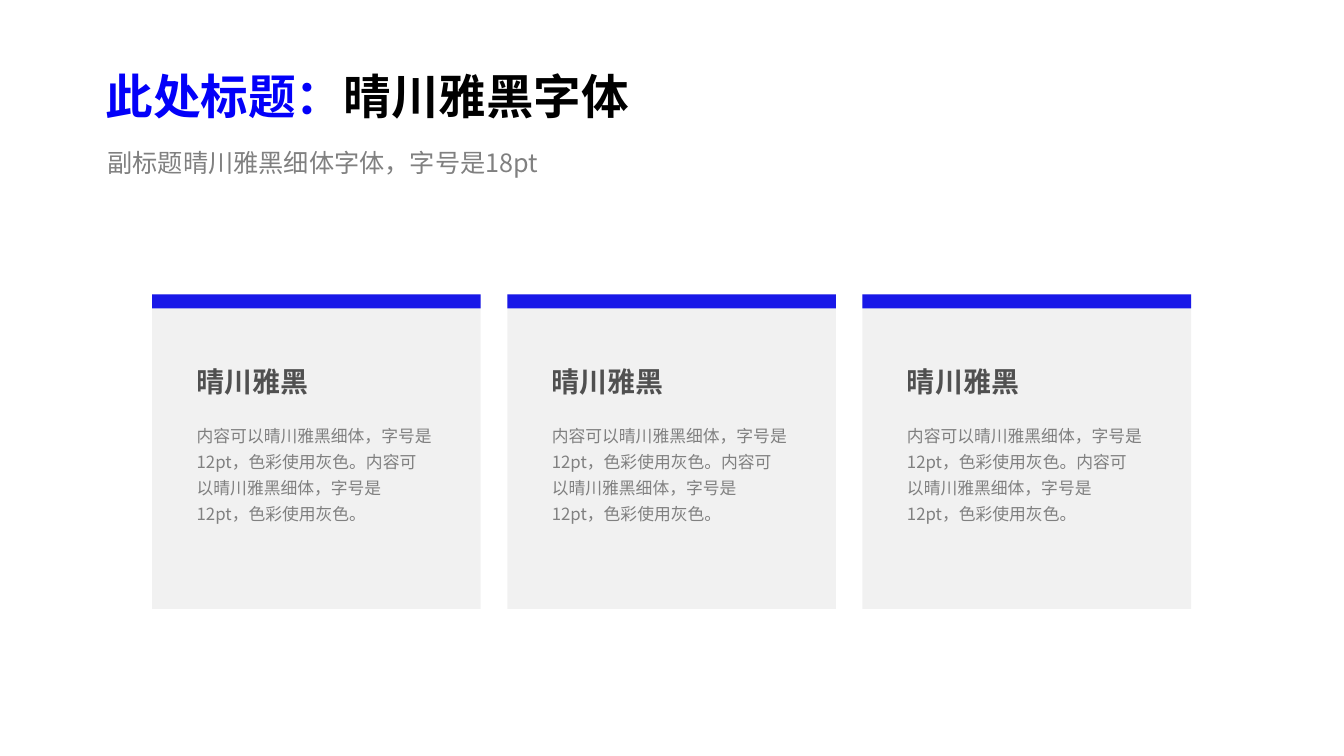
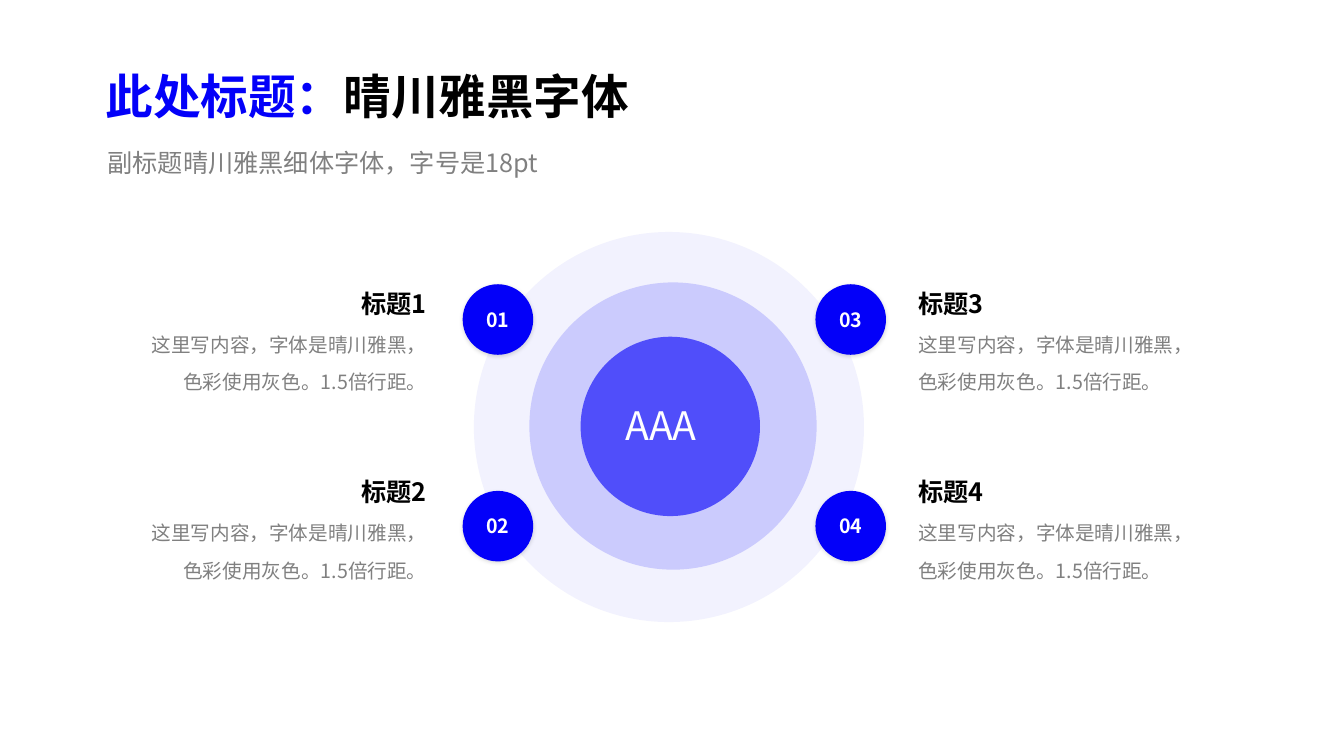
"""Build two slides that share one title style: three cards and a ring chart."""
from lxml.etree import SubElement
from pptx import Presentation
from pptx.dml.color import RGBColor
from pptx.enum.shapes import MSO_SHAPE
from pptx.enum.text import MSO_ANCHOR, MSO_AUTO_SIZE, PP_ALIGN
from pptx.oxml.ns import qn
from pptx.util import Emu, Pt

COLS, ROWS = 40, 22.5
WIDE, HIGH = 12192000, 6858000
FACE = "Noto Sans CJK SC"
BLUE, BAR, GRAY, PALE, DARK = "0300F9", "1918E8", "808080", "D9D9D9", "0D0D0D"
BLACK, WHITE = "000000", "FFFFFF"
SLIM = (0, 0.12, 0.72, 0.12)
NONE = (0, 0, 0, 0)
EVEN = (0.3, 0.15, 0.3, 0.15)


def cell(x, y, w, h):
    return [Emu(round(n * unit)) for n, unit in
            zip((x, y, w, h), (WIDE / COLS, HIGH / ROWS) * 2)]


def paint(fill, node, tint, share=100):
    fill.solid()
    fill.fore_color.rgb = RGBColor.from_string(tint)
    if share < 100:
        hue = node.xpath(".//a:srgbClr")[0]
        SubElement(hue, qn("a:alpha"), val=str(share * 1000))


class Deck:
    def __init__(self):
        self.prs = Presentation()
        self.prs.slide_width, self.prs.slide_height = WIDE, HIGH

    def page(self, lead, rest, note):
        self.slide = self.prs.slides.add_slide(self.prs.slide_layouts[1])
        head, body = self.slide.placeholders
        self.place(head, (2.85, 1, 28.77, 2.7))
        self.frame(head)
        para = head.text_frame.paragraphs[0]
        para.text = lead
        para.add_run().text = rest
        self.style(para, 34, BLUE, bold=True, lead=1.5)
        paint(para.runs[1].font.fill, para.runs[1]._r, BLACK)
        self.place(body, (3.2, 4, 17.46, 1.32))
        self.frame(body, SLIM)
        para = body.text_frame.paragraphs[0]
        para.text = note
        props = para._p.get_or_add_pPr()
        props.set("marL", "0")
        props.set("indent", "0")
        SubElement(props, qn("a:buNone"))
        self.style(para, 18, GRAY, lead=1.3)

    def place(self, shape, area):
        shape.left, shape.top, shape.width, shape.height = cell(*area)

    def frame(self, shape, pads=EVEN, anchor=MSO_ANCHOR.TOP):
        frame = shape.text_frame
        frame.word_wrap = True
        frame.auto_size = MSO_AUTO_SIZE.NONE
        frame.vertical_anchor = anchor
        (frame.margin_left, frame.margin_top,
         frame.margin_right, frame.margin_bottom) = cell(*pads)
        return frame

    def style(self, para, size, tint, bold=False, lead=1, gap=0,
              side=PP_ALIGN.LEFT, share=100):
        para.alignment = side
        para.line_spacing = lead
        para.space_before = Pt(gap)
        for run in para.runs:
            font = run.font
            font.size, font.bold, font.name = Pt(size), bold, FACE
            paint(font.fill, run._r, tint, share)
            SubElement(run._r.get_or_add_rPr(), qn("a:ea"), typeface=FACE)

    def text(self, area, words, size, tint, pads=EVEN, **look):
        box = self.slide.shapes.add_textbox(*cell(*area))
        frame = self.frame(box, pads)
        frame.text = words
        self.style(frame.paragraphs[0], size, tint, **look)
        return frame

    def shape(self, kind, area, tint, share=100):
        item = self.slide.shapes.add_shape(kind, *cell(*area))
        item.shadow.inherit = False
        paint(item.fill, item._element, tint, share)
        item.line.fill.background()
        return item

    def card(self, x, name, words):
        top, wide = 8.76, 9.78
        self.shape(MSO_SHAPE.RECTANGLE, (x, top, wide, 9.36), PALE, 35)
        self.shape(MSO_SHAPE.RECTANGLE, (x, top, wide, 0.42), BAR)
        self.text((x + 1.03, top + 1.65, 7.62, 1.5), name, 20, DARK,
                  bold=True, lead=1.3, share=70)
        self.text((x + 1.03, top + 3.57, 7.62, 4.59), words, 12, GRAY, lead=1.3)

    def ring(self, x, y, size, share):
        area = (x - size / 2, y - size / 2, size, size)
        self.shape(MSO_SHAPE.OVAL, area, BLUE, share)

    def badge(self, x, y, mark):
        item = self.shape(MSO_SHAPE.OVAL, (x, y, 2.1, 2.1), BLUE)
        glow = SubElement(item._element.spPr.find(qn("a:effectLst")),
                          qn("a:outerShdw"), blurRad=str(Pt(3)),
                          dist=str(Pt(1)), dir="5400000", rotWithShape="0")
        hue = SubElement(glow, qn("a:srgbClr"), val=BLACK)
        SubElement(hue, qn("a:alpha"), val="15000")
        frame = self.frame(item, NONE, MSO_ANCHOR.MIDDLE)
        frame.text = mark
        self.style(frame.paragraphs[0], 14, WHITE, bold=True,
                   side=PP_ALIGN.CENTER)

    def item(self, x, y, name, lines, side):
        frame = self.text((x, y, 9.42, 3.39), name, 18, BLACK, SLIM,
                          bold=True, side=side)
        for line in lines:
            para = frame.add_paragraph()
            para.text = line
            self.style(para, 14, GRAY, gap=10, side=side)


def main():
    deck = Deck()
    head = ("此处标题：", "晴川雅黑字体", "副标题晴川雅黑细体字体，字号是18pt")

    deck.page(*head)
    words = "内容可以晴川雅黑细体，字号是12pt，色彩使用灰色。" * 2
    for col in range(3):
        deck.card(4.53 + 10.57 * col, "晴川雅黑", words)

    deck.page(*head)
    for ring in ((19.91, 12.71, 11.61, 5), (20.03, 12.68, 8.55, 16),
                 (19.95, 12.69, 5.34, 61)):
        deck.ring(*ring)
    deck.text((18.63, 11.4, 4.08, 1.89), "AAA", 28, WHITE, SLIM, lead=1.3)
    lines = ("这里写内容，字体是晴川雅黑，", "色彩使用灰色。1.5倍行距。")
    sides = ((13.77, 4, PP_ALIGN.RIGHT), (24.27, 27.33, PP_ALIGN.LEFT))
    for col, (dot, left, side) in enumerate(sides):
        for row in range(2):
            rank = col * 2 + row + 1
            deck.badge(dot, 8.46 + 6.15 * row, f"{rank:02}")
            deck.item(left, 8.46 + 5.61 * row, f"标题{rank}", lines, side)

    deck.prs.save("out.pptx")


if __name__ == "__main__":
    main()
